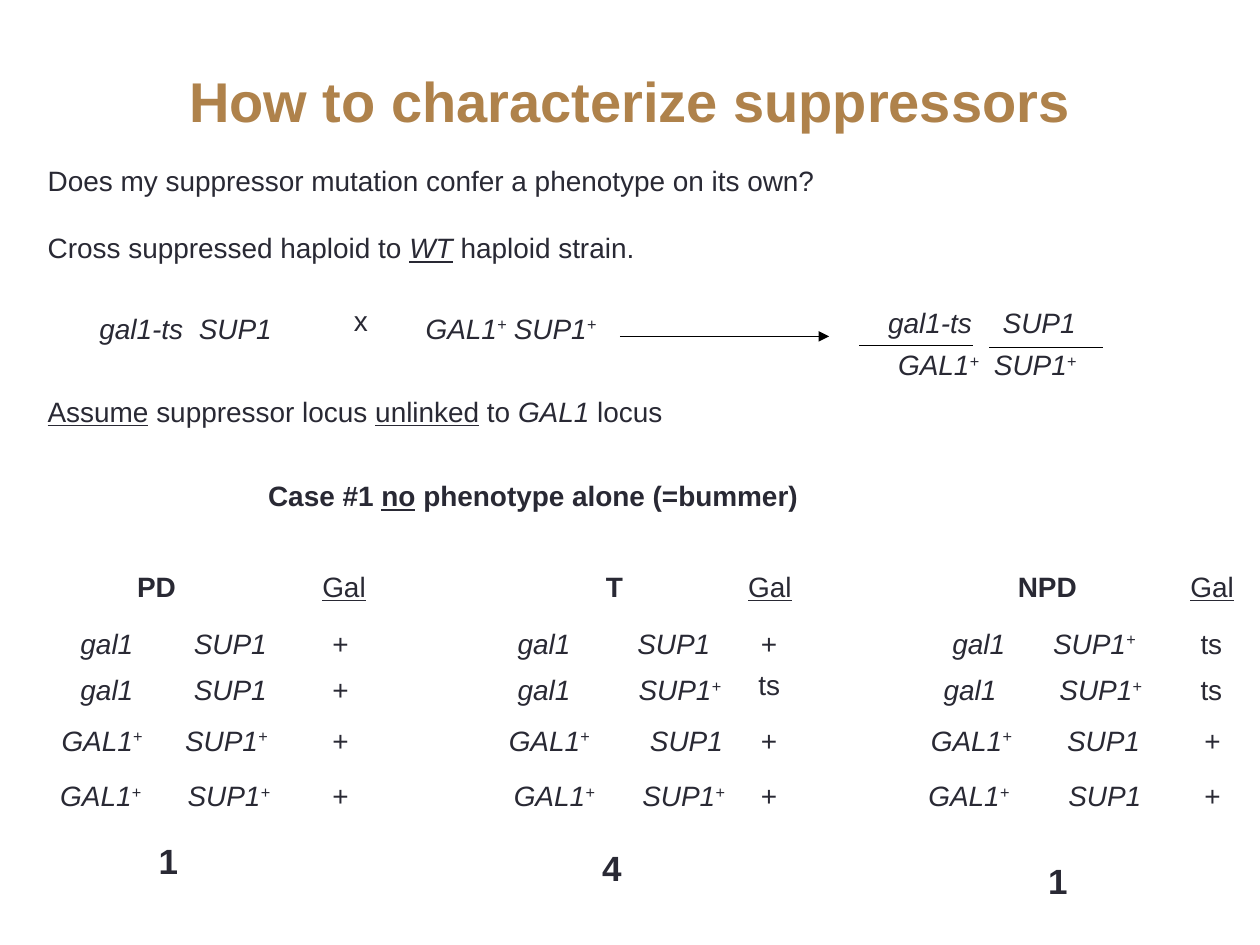
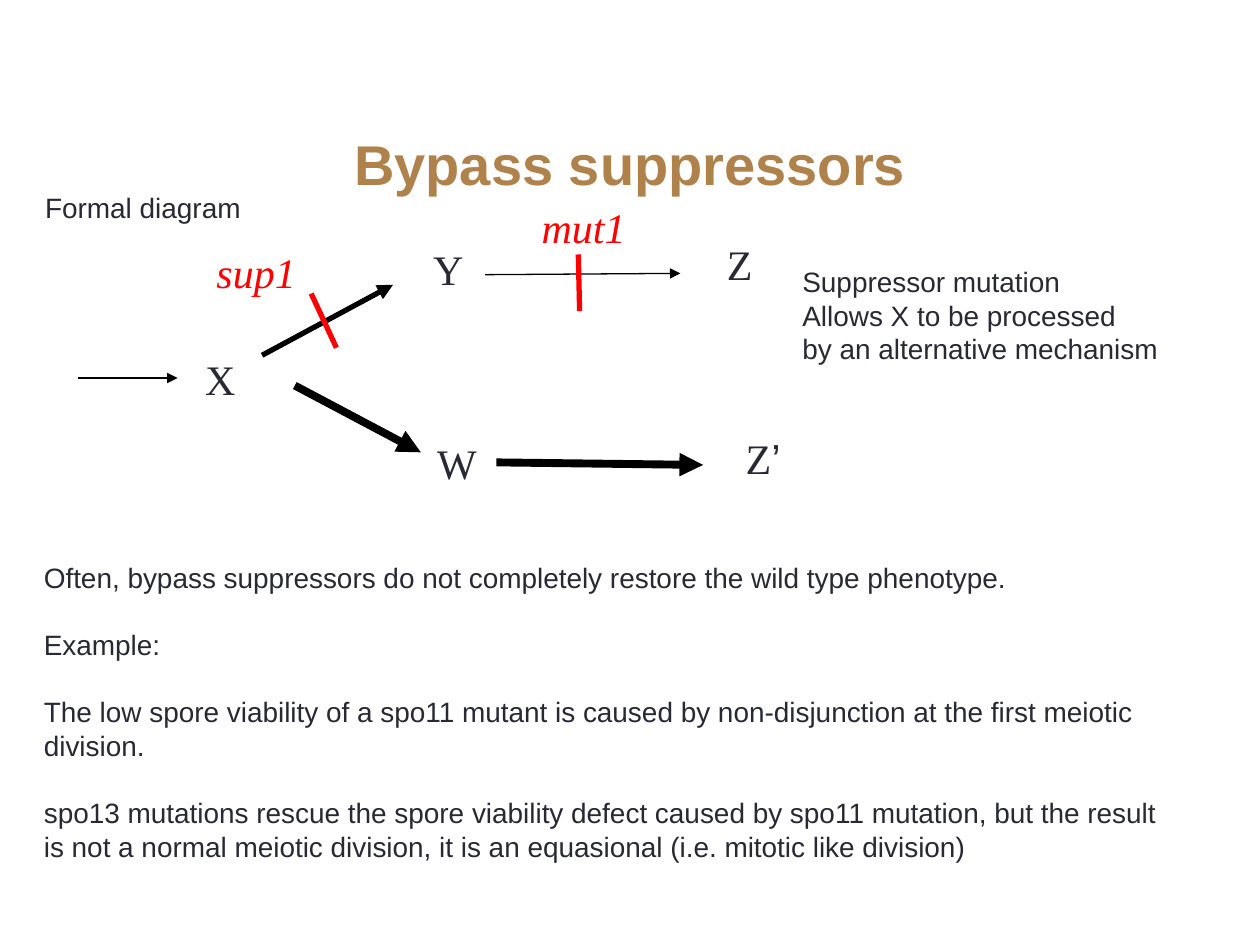
from dataclasses import dataclass

from lxml import etree
from pptx import Presentation
from pptx.dml.color import RGBColor
from pptx.enum.shapes import MSO_CONNECTOR
from pptx.enum.text import MSO_ANCHOR, PP_ALIGN
from pptx.oxml.ns import qn
from pptx.util import Inches, Pt

STRAIGHT = MSO_CONNECTOR.STRAIGHT
MIDDLE = MSO_ANCHOR.MIDDLE
TOP = MSO_ANCHOR.TOP
CENTER = PP_ALIGN.CENTER
LEFT = PP_ALIGN.LEFT


@dataclass(frozen=True)
class Theme:
    text: str = "292934"
    title: str = "AF824B"
    line: str = "000000"
    mutation: str = "FF0000"
    sans: str = "Arial"
    serif: str = "Times New Roman"
    title_size: int = 32
    node_size: int = 24
    count_size: int = 20
    body_size: int = 16
    leading: float = 1.2
    thin: float = 0.75
    medium: float = 3
    thick: float = 4.5


THEME = Theme()
LINE_HEIGHT = 0.36

# Runs are (text, style): b bold, i italic, u underlined, ^ superscript.
# A text holds groups of lines; a blank line's height separates the groups.
# Texts: left, top, width, height, groups
CROSS_TEXTS = [
    (0.28, 1.25, 6.29, 0.9, [
        [[("Does my suppressor mutation confer a phenotype on its own?", "")]],
        [[("Cross suppressed haploid to ", ""), ("WT", "iu"), (" haploid strain.", "")]],
    ]),
    (2.71, 2.36, 0.31, LINE_HEIGHT, [[[("x", "")]]]),
    (0.28, 3.08, 5.09, LINE_HEIGHT, [[[
        ("Assume", "u"), (" suppressor locus ", ""), ("unlinked", "u"),
        (" to ", ""), ("GAL1 ", "i"), ("locus", ""),
    ]]]),
    (2.03, 3.75, 4.4, LINE_HEIGHT, [[[
        ("Case #1 ", "b"), ("no", "bu"), (" phenotype alone (=bummer)", "b"),
    ]]]),
]

# Alleles of the cross: name, left, top
CROSS_ALLELES = [
    ("gal1-ts", 0.69, 2.42), ("SUP1", 1.48, 2.42),
    ("GAL1+", 3.28, 2.42), ("SUP1+", 3.98, 2.42),
    ("gal1-ts", 6.95, 2.38), ("SUP1", 7.86, 2.38),
    ("GAL1+", 7.03, 2.71), ("SUP1+", 7.79, 2.71),
]
LABEL_WIDTHS = {
    "gal1": 0.62, "GAL1+": 0.84, "SUP1": 0.78, "SUP1+": 0.85, "gal1-ts": 0.87,
    "+": 0.33, "ts": 0.37, "PD": 0.51, "T": 0.33, "NPD": 0.67, "Gal": 0.54,
}

# Lines: start, end, weight, colour, has arrowhead
CROSS_LINES = [
    ((6.82, 2.74), (7.72, 2.74), THEME.thin, THEME.line, False),
    ((7.85, 2.76), (8.75, 2.76), THEME.thin, THEME.line, False),
    ((4.92, 2.67), (6.58, 2.67), THEME.thin, THEME.line, True),
]

HEADER_TOP = 4.47
SPORE_TOPS = [4.92, 5.29, 5.69, 6.13]
# Each spore cell is (label, left), with its own top where it leaves the row
TETRADS = [
    {"type": ("PD", 0.99), "gal": 2.46, "count": ("1", 1.16, 6.61), "spores": [
        [("gal1", 0.54), ("SUP1", 1.44), ("+", 2.54)],
        [("gal1", 0.54), ("SUP1", 1.44), ("+", 2.54)],
        [("GAL1+", 0.39), ("SUP1+", 1.37), ("+", 2.54)],
        [("GAL1+", 0.38), ("SUP1+", 1.39), ("+", 2.54)],
    ]},
    {"type": ("T", 4.71), "gal": 5.84, "count": ("4", 4.68, 6.67), "spores": [
        [("gal1", 4.01), ("SUP1", 4.96), ("+", 5.94)],
        [("gal1", 4.01), ("SUP1+", 4.97), ("ts", 5.92, 5.25)],
        [("GAL1+", 3.94), ("SUP1", 5.06), ("+", 5.94)],
        [("GAL1+", 3.98), ("SUP1+", 5), ("+", 5.94)],
    ]},
    {"type": ("NPD", 7.98), "gal": 9.35, "count": ("1", 8.22, 6.77), "spores": [
        [("gal1", 7.46), ("SUP1+", 8.26), ("ts", 9.43)],
        [("gal1", 7.39), ("SUP1+", 8.31), ("ts", 9.43)],
        [("GAL1+", 7.29), ("SUP1", 8.37), ("+", 9.46)],
        [("GAL1+", 7.27), ("SUP1", 8.38), ("+", 9.46)],
    ]},
]

BYPASS_TEXTS = [
    (6.27, 2.05, 3.03, 0.9, [[
        [("Suppressor mutation", "")],
        [("Allows X to be processed", "")],
        [("by an alternative mechanism", "")],
    ]]),
    (0.26, 1.46, 1.75, LINE_HEIGHT, [[[("Formal diagram", "")]]]),
    (0.25, 4.4, 9.5, 2.49, [
        [[("Often, bypass suppressors do not completely restore the wild type phenotype.", "")]],
        [[("Example:", "")]],
        [[("The low spore viability of a spo11 mutant is caused by "
           "non-disjunction at the first meiotic", "")],
         [("division.", "")]],
        [[("spo13 mutations rescue the spore viability defect caused by "
           "spo11 mutation, but the result", "")],
         [("is not a normal meiotic division, it is an equasional "
           "(i.e. mitotic like division)", "")]],
    ]),
]
# Pathway nodes: runs, left, top, width, colour
PATHWAY_NODES = [
    ([("X", "")], 1.53, 2.76, 0.44, THEME.text),
    ([("Y", "")], 3.34, 1.88, 0.44, THEME.text),
    ([("Z", "")], 5.67, 1.84, 0.4, THEME.text),
    ([("W", "")], 3.37, 3.42, 0.51, THEME.text),
    ([("Z", ""), ("’", "")], 5.82, 3.38, 0.47, THEME.text),
    ([("mut1", "i")], 4.2, 1.55, 0.86, THEME.mutation),
    ([("sup1", "i")], 1.62, 1.91, 0.83, THEME.mutation),
]
PATHWAY_LINES = [
    ((0.62, 3), (1.41, 3), THEME.thin, THEME.line, True),
    ((2.08, 2.82), (3.12, 2.26), THEME.medium, THEME.line, True),
    ((3.85, 2.18), (5.4, 2.17), THEME.thin, THEME.line, True),
    ((4.59, 2.02), (4.6, 2.47), THEME.medium, THEME.mutation, False),
    ((2.34, 3.06), (3.34, 3.59), THEME.thick, THEME.line, True),
    ((2.47, 2.33), (2.67, 2.76), THEME.medium, THEME.mutation, False),
    ((3.94, 3.67), (5.58, 3.69), THEME.thick, THEME.line, True),
]


def add_run(paragraph, text, style, size, color, font_name):
    run = paragraph.add_run()
    run.text = text
    font = run.font
    font.name = THEME.sans if text == "’" else font_name
    font.size = Pt(size)
    font.color.rgb = RGBColor.from_string(color)
    font.bold = "b" in style
    font.italic = "i" in style
    font.underline = "u" in style
    if "^" in style:
        run._r.get_or_add_rPr().set("baseline", "30000")


def add_text(slide, left, top, width, height, groups, size=THEME.body_size,
             color=THEME.text, font_name=THEME.sans, anchor=TOP,
             alignment=LEFT, wrap=False):
    shape = slide.shapes.add_textbox(Inches(left), Inches(top), Inches(width), Inches(height))
    frame = shape.text_frame
    frame.word_wrap = wrap
    frame.vertical_anchor = anchor
    if not wrap:
        frame.margin_right = 0  # spare room keeps tight labels on one line
    line_height = Pt(size * THEME.leading)
    lines = [(runs, group > 0 and row == 0)
             for group, rows in enumerate(groups) for row, runs in enumerate(rows)]
    for index, (runs, starts_group) in enumerate(lines):
        paragraph = frame.add_paragraph() if index else frame.paragraphs[0]
        paragraph.alignment = alignment
        paragraph.line_spacing = line_height
        paragraph.space_before = line_height if starts_group else Pt(0)
        for text, style in runs:
            add_run(paragraph, text, style, size, color, font_name)


def add_label(slide, label, left, top, style=""):
    """Place a one-line label; the + that ends an allele name is raised."""
    name = label.rstrip("+")
    runs = [(label, style)]
    if name and name != label:
        runs = [(name, style), ("+", style + "^")]
    add_text(slide, left, top, LABEL_WIDTHS[label], LINE_HEIGHT, [[runs]])


def add_line(slide, start, end, weight, color, has_arrowhead):
    points = [Inches(value) for value in (*start, *end)]
    connector = slide.shapes.add_connector(STRAIGHT, *points)
    connector.line.width = Pt(weight)
    connector.line.color.rgb = RGBColor.from_string(color)
    if has_arrowhead:
        line = connector.line._get_or_add_ln()
        etree.SubElement(line, qn("a:tailEnd"), type="triangle")
    etree.SubElement(connector._element.spPr, qn("a:effectLst"))


def add_titled_slide(presentation, title, top, texts, lines):
    slide = presentation.slides.add_slide(presentation.slide_layouts[6])
    add_text(slide, 0.75, top, 8.5, 1.25, [[[(title, "b")]]], size=THEME.title_size,
             color=THEME.title, anchor=MIDDLE, alignment=CENTER, wrap=True)
    for text in texts:
        add_text(slide, *text)
    for line in lines:
        add_line(slide, *line)
    return slide


def add_tetrad(slide, tetrad):
    add_label(slide, *tetrad["type"], HEADER_TOP, "b")
    add_label(slide, "Gal", tetrad["gal"], HEADER_TOP, "u")
    for row_top, spore in zip(SPORE_TOPS, tetrad["spores"]):
        for cell, style in zip(spore, ("i", "i", "")):
            label, left, top = (*cell, row_top)[:3]
            add_label(slide, label, left, top, style)
    count, left, top = tetrad["count"]
    add_text(slide, left, top, 0.35, 0.43, [[[(count, "b")]]], size=THEME.count_size)


def main():
    presentation = Presentation()
    presentation.slide_width = Inches(10)
    presentation.slide_height = Inches(7.5)

    cross = add_titled_slide(presentation, "How to characterize suppressors", 0.17,
                             CROSS_TEXTS, CROSS_LINES)
    for allele in CROSS_ALLELES:
        add_label(cross, *allele, "i")
    for tetrad in TETRADS:
        add_tetrad(cross, tetrad)

    bypass = add_titled_slide(presentation, "Bypass suppressors", 0.67,
                              BYPASS_TEXTS, PATHWAY_LINES)
    for runs, left, top, width, color in PATHWAY_NODES:
        add_text(bypass, left, top, width, 0.5, [[runs]], size=THEME.node_size,
                 color=color, font_name=THEME.serif)

    presentation.save("out.pptx")


if __name__ == "__main__":
    main()
